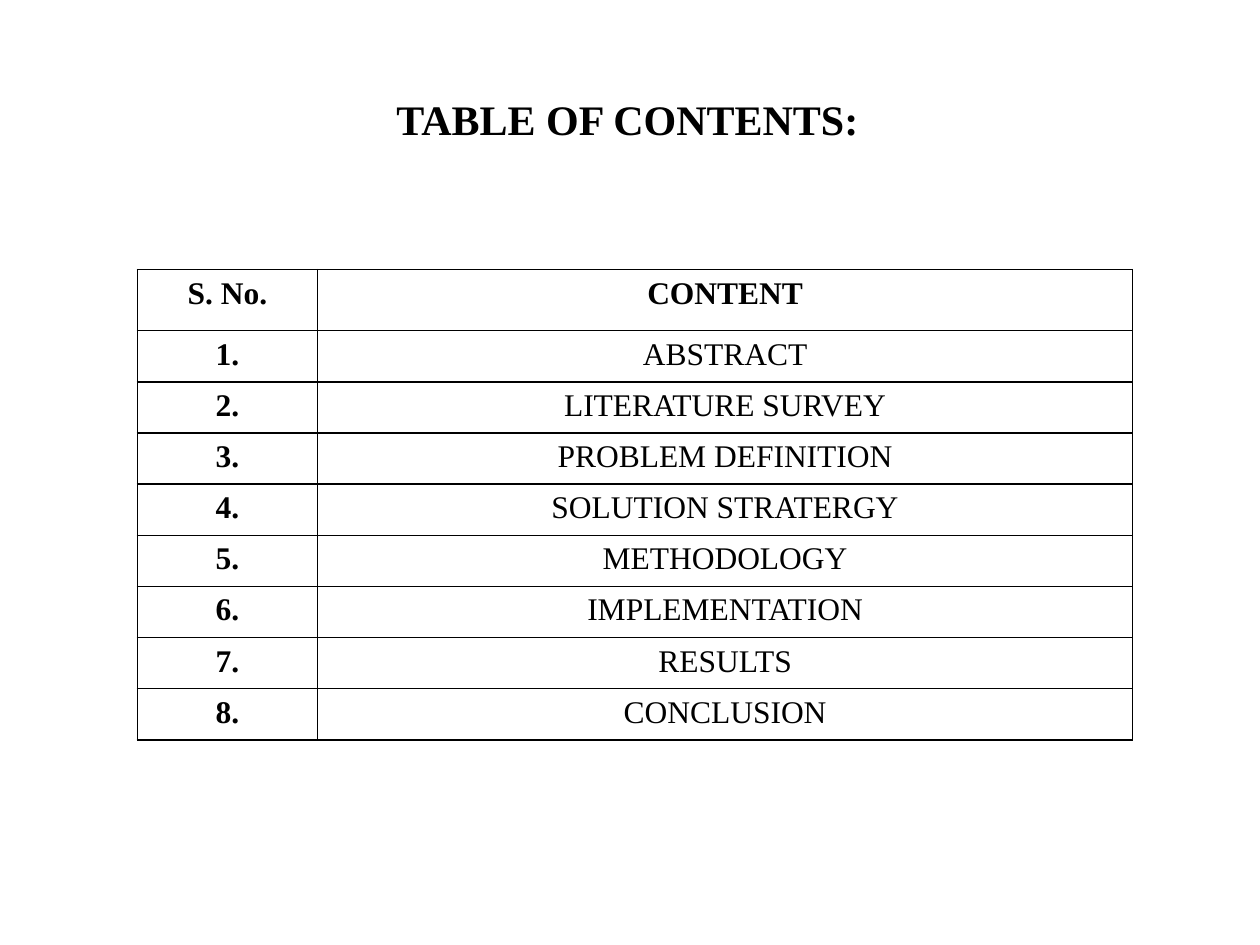
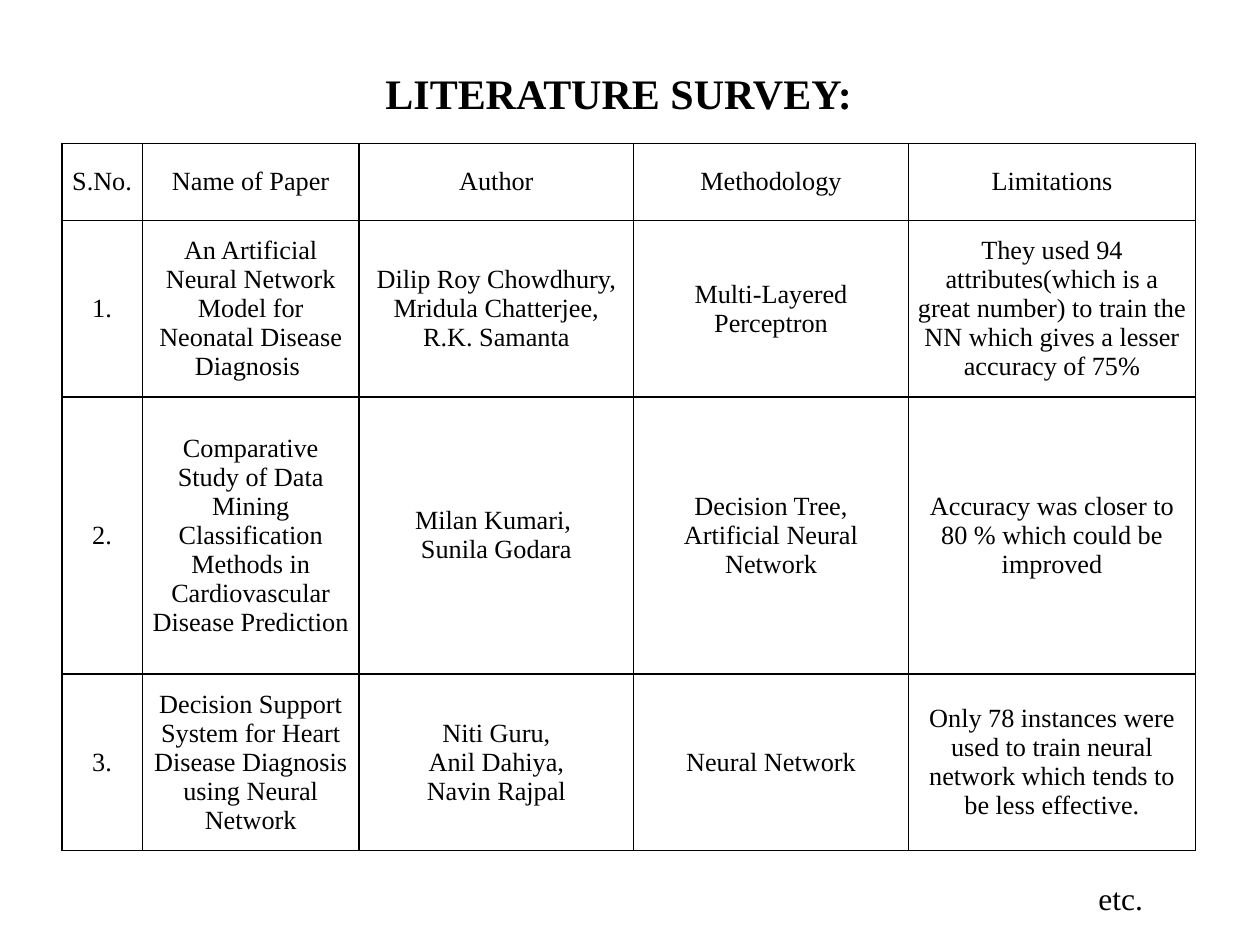
from lxml.etree import SubElement
from pptx import Presentation
from pptx.dml.color import RGBColor
from pptx.enum.text import MSO_ANCHOR, MSO_AUTO_SIZE, PP_ALIGN
from pptx.oxml.ns import qn
from pptx.util import Inches, Pt

BLACK = RGBColor(0x00, 0x00, 0x00)
WHITE = RGBColor(0xFF, 0xFF, 0xFF)

COLUMNS, ROWS = 100, 75
BORDER_SIDES = ("a:lnL", "a:lnR", "a:lnT", "a:lnB")

TOPICS = (
    "ABSTRACT",
    "LITERATURE SURVEY",
    "PROBLEM DEFINITION",
    "SOLUTION STRATERGY",
    "METHODOLOGY",
    "IMPLEMENTATION",
    "RESULTS",
    "CONCLUSION",
)

SURVEY_HEADINGS = ("S.No.", "Name of Paper", "Author", "Methodology", "Limitations")
PAPERS = (
    (
        "An Artificial Neural Network Model for Neonatal Disease Diagnosis ",
        "Dilip Roy Chowdhury,\nMridula Chatterjee,\nR.K. Samanta",
        "Multi-Layered Perceptron",
        "They used 94 attributes(which is a great number) to train the NN "
        "which gives a lesser accuracy of 75%",
    ),
    (
        "Comparative Study of Data Mining Classification Methods in "
        "Cardiovascular Disease Prediction",
        "Milan Kumari, \nSunila Godara",
        "Decision Tree,\nArtificial Neural Network",
        "Accuracy was closer to 80 % which could be improved",
    ),
    (
        "Decision Support System for Heart Disease Diagnosis using Neural Network",
        "Niti Guru,\nAnil Dahiya,\nNavin Rajpal",
        "Neural Network",
        "Only 78 instances were used to train neural network which tends to "
        "be less effective.",
    ),
)


class Deck:
    font = "Times New Roman"
    ink = BLACK
    paper = WHITE
    title_size = 24
    border_width = 1

    def __init__(self):
        self.presentation = Presentation()
        self.presentation.slide_width = Inches(10)
        self.presentation.slide_height = Inches(7.5)
        self.slide = None

    def across(self, columns):
        return round(self.presentation.slide_width * columns / COLUMNS)

    def down(self, rows):
        return round(self.presentation.slide_height * rows / ROWS)

    def new_slide(self):
        self.slide = self.presentation.slides.add_slide(
            self.presentation.slide_layouts[6]
        )
        background = self.slide.background.fill
        background.solid()
        background.fore_color.rgb = self.paper

    def add_lines(self, frame, text, size, bold=False, align=PP_ALIGN.CENTER, spacing=None):
        for index, line in enumerate(text.split("\n")):
            paragraph = frame.add_paragraph() if index else frame.paragraphs[0]
            paragraph.alignment = align
            paragraph.line_spacing = spacing
            run = paragraph.add_run()
            run.text = line
            run.font.name = self.font
            run.font.size = Pt(size)
            run.font.bold = bold
            run.font.color.rgb = self.ink

    def box(self, left, top, width, height):
        return self.slide.shapes.add_textbox(
            self.across(left), self.down(top), self.across(width), self.down(height)
        ).text_frame

    def title(self, text, left, top, height):
        frame = self.box(left, top, 86.2, height)
        frame.word_wrap = True
        frame.vertical_anchor = MSO_ANCHOR.MIDDLE
        self.add_lines(frame, text, self.title_size, bold=True, spacing=0.9)

    def note(self, text, left, top, width, height):
        frame = self.box(left, top, width, height)
        frame.word_wrap = False
        frame.auto_size = MSO_AUTO_SIZE.SHAPE_TO_FIT_TEXT
        self.add_lines(frame, text, 18, align=PP_ALIGN.LEFT)

    def outline(self, cell):
        properties = cell._tc.get_or_add_tcPr()
        for side in BORDER_SIDES:
            line = SubElement(
                properties, qn(side), w=str(Pt(self.border_width)), cmpd="sng"
            )
            fill = SubElement(line, qn("a:solidFill"))
            SubElement(fill, qn("a:srgbClr"), val=str(self.ink))

    def table(self, content, left, top, widths, heights, size,
              anchor=MSO_ANCHOR.TOP, margins=(1, 0.5), is_bold=lambda row, column: False):
        table = self.slide.shapes.add_table(
            len(heights), len(widths), self.across(left), self.down(top),
            self.across(sum(widths)), self.down(sum(heights)),
        ).table
        table.first_row = table.horz_banding = False
        for column, width in zip(table.columns, widths):
            column.width = self.across(width)
        for row, height in zip(table.rows, heights):
            row.height = self.down(height)
        for r, texts in enumerate(content):
            for c, text in enumerate(texts):
                cell = table.cell(r, c)
                cell.vertical_anchor = anchor
                cell.margin_left = cell.margin_right = self.across(margins[0])
                cell.margin_top = cell.margin_bottom = self.down(margins[1])
                self.outline(cell)
                cell.fill.background()
                self.add_lines(cell.text_frame, text, size, is_bold(r, c))


def numbered(entries):
    return [(f"{number}.", *entry) for number, entry in enumerate(entries, 1)]


def contents_slide(deck):
    deck.new_slide()
    deck.title("TABLE OF CONTENTS:", 6.7, 2.4, 14.5)
    deck.table(
        [("S. No.", "CONTENT"), *numbered((topic,) for topic in TOPICS)],
        10.9, 21.4, (14.3, 64.7), (4.85, *[4.06] * len(TOPICS)), 18,
        is_bold=lambda row, column: row == 0 or column == 0,
    )


def survey_slide(deck):
    deck.new_slide()
    deck.title("LITERATURE SURVEY:", 6, 3.8, 7.6)
    deck.table(
        [SURVEY_HEADINGS, *numbered(PAPERS)],
        4.9, 11.4, (6.4, 17.2, 21.8, 21.8, 22.8), (6.1, 14, 22, 14), 15,
        anchor=MSO_ANCHOR.MIDDLE, margins=(0.7, 0.4),
    )
    deck.note("etc.", 86.2, 69.3, 5.6, 4)


def main():
    deck = Deck()
    contents_slide(deck)
    survey_slide(deck)
    deck.presentation.save("out.pptx")


if __name__ == "__main__":
    main()
